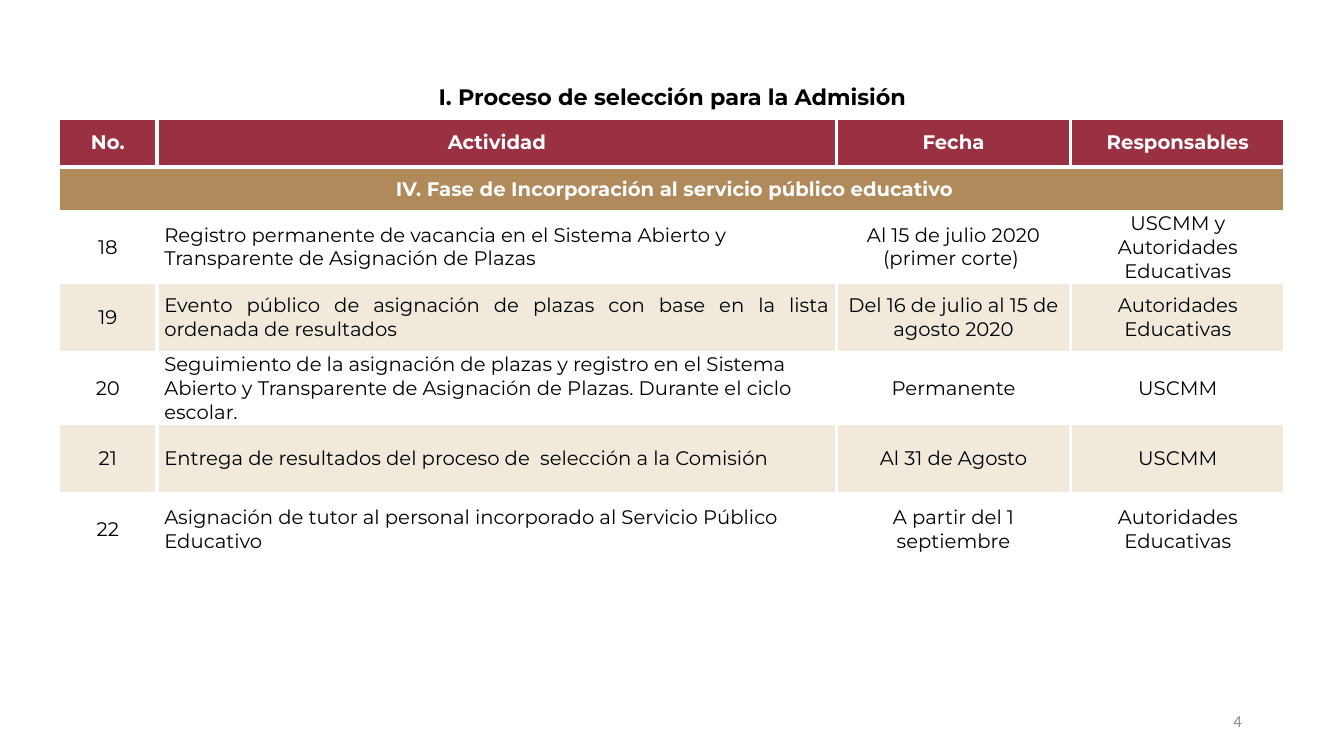
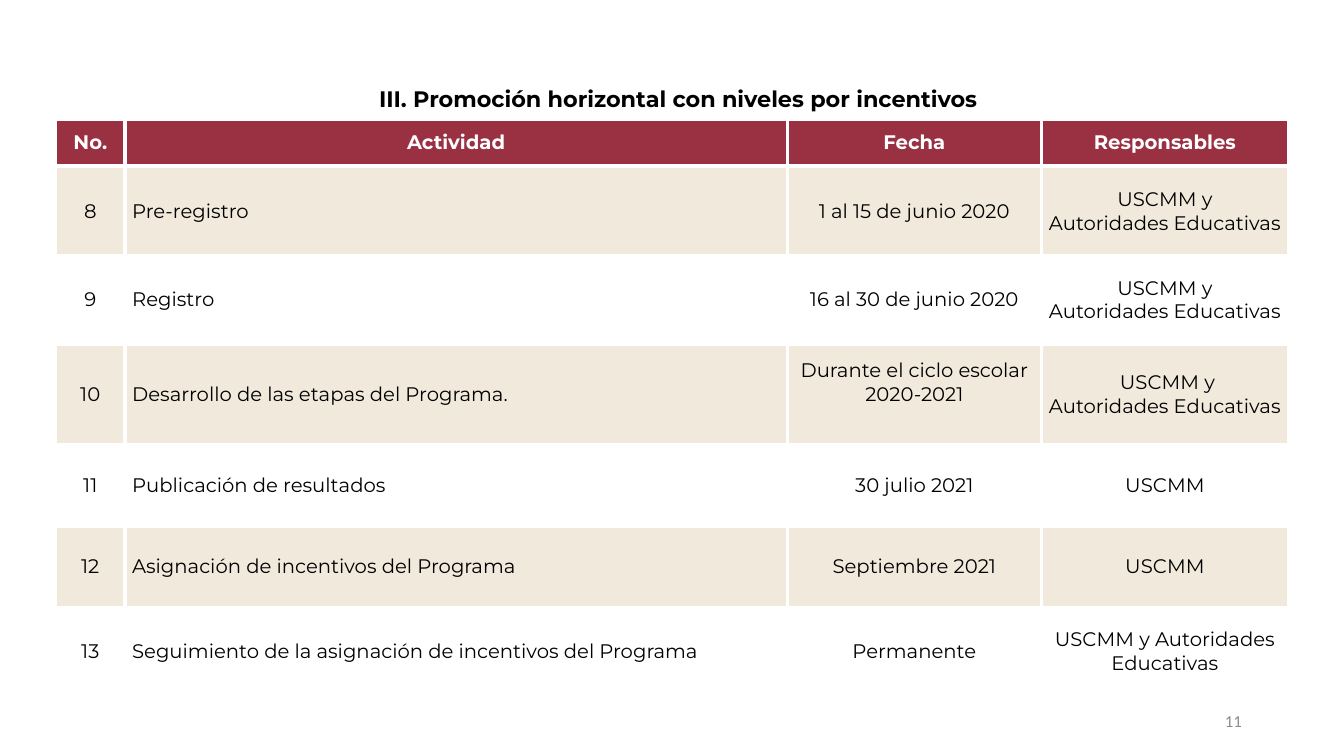
import dataclasses
import typing

import lxml.etree
import pptx
import pptx.dml.color
import pptx.enum.text
import pptx.oxml.ns
import pptx.slide
import pptx.table
import pptx.text.text
import pptx.util

RGBColor = pptx.dml.color.RGBColor
Align = pptx.enum.text.PP_ALIGN
Anchor = pptx.enum.text.MSO_ANCHOR

WINE = RGBColor(0x99, 0x31, 0x42)
GOLD = RGBColor(0xB0, 0x8A, 0x5A)
CREAM = RGBColor(0xF0, 0xE9, 0xDC)
WHITE = RGBColor(0xFF, 0xFF, 0xFF)
BLACK = RGBColor(0x00, 0x00, 0x00)
GREY = RGBColor(0x8C, 0x8C, 0x8C)

TABLE_FONT = "Montserrat"
NUMBER_FONT = "Calibri"
SLIDE_WIDTH = pptx.util.Inches(13.33)
SLIDE_HEIGHT = pptx.util.Inches(7.5)
CELL_MARGIN = pptx.util.Inches(0.07)
BORDER_WIDTH = pptx.util.Pt(3)
TITLE_ONLY = 5
HEADINGS = ("No.", "Actividad", "Fecha", "Responsables")

AUTHORITIES = "Autoridades Educativas"
UNIT = "USCMM"
BOTH = f"{UNIT} y {AUTHORITIES}"
BOTH_SPLIT = f"{UNIT} y\n{AUTHORITIES}"


@dataclasses.dataclass(frozen=True)
class Box:
    """A place on the slide, in percent of its width and height."""

    left: float
    top: float
    width: float
    height: float


@dataclasses.dataclass(frozen=True)
class Activity:
    """One row of a schedule; height and lift are percent of the slide's height."""

    number: int
    name: str
    date: str
    responsible: str
    height: float
    justified: bool = False
    date_lift: float = 0


@dataclasses.dataclass(frozen=True)
class Schedule:
    """One slide: its title, table and page number, in percent of the slide."""

    title: str
    title_box: Box
    page: int
    left: float
    top: float
    columns: tuple[float, ...]
    heading_height: float
    activities: tuple[Activity, ...]
    bands: tuple[RGBColor, RGBColor]
    phase: str = ""
    phase_height: float = 0


PAGE_BOX = Box(70.65, 92.67, 22.5, 5.33)

SCHEDULES = (
    Schedule(
        title="I. Proceso de selección para la Admisión",
        title_box=Box(31.88, 10.27, 36.9, 4.93),
        page=4,
        left=4.35,
        top=15.6,
        columns=(7.35, 50.55, 17.4, 15.98),
        heading_height=6.53,
        phase="\u00a0IV. Fase de Incorporación al servicio público educativo",
        phase_height=5.87,
        bands=(WHITE, CREAM),
        activities=(
            Activity(18, "Registro permanente de vacancia en el Sistema Abierto y "
                     "Transparente de Asignación de Plazas",
                     "Al 15 de julio 2020\n(primer corte) ", BOTH, 9.33),
            Activity(19, "Evento público de asignación de plazas con base en la "
                     "lista ordenada de resultados",
                     "Del 16 de julio al 15 de agosto 2020", AUTHORITIES, 9.33,
                     justified=True),
            Activity(20, "Seguimiento de la asignación de plazas y registro en el "
                     "Sistema Abierto y Transparente de Asignación de Plazas. "
                     "Durante el ciclo escolar.", "Permanente", UNIT, 9.33),
            Activity(21, "Entrega de resultados del proceso de  selección a la "
                     "Comisión", "Al 31 de Agosto", UNIT, 9.33),
            Activity(22, "Asignación de tutor al personal incorporado al Servicio "
                     "Público Educativo", "A partir del 1 septiembre",
                     AUTHORITIES, 9.33),
        ),
    ),
    Schedule(
        title="III. Promoción horizontal con niveles por incentivos",
        title_box=Box(27.45, 10.53, 46.73, 4.93),
        page=11,
        left=4.13,
        top=15.73,
        columns=(5.18, 49.28, 18.9, 18.38),
        heading_height=6.27,
        bands=(CREAM, WHITE),
        activities=(
            Activity(8, "Pre-registro", "1 al 15 de junio 2020", BOTH_SPLIT, 11.87,
                     justified=True),
            Activity(9, "Registro", "16 al 30 de junio 2020", BOTH_SPLIT, 11.6,
                     justified=True),
            Activity(10, "Desarrollo de las etapas del Programa.",
                     "Durante el ciclo escolar 2020-2021", f"\u00a0{BOTH_SPLIT}",
                     13.33, justified=True, date_lift=3.15),
            Activity(11, "Publicación de resultados", "30 julio 2021", UNIT, 10.8),
            Activity(12, "Asignación de incentivos del Programa",
                     "Septiembre 2021", UNIT, 10.8),
            Activity(13, "Seguimiento de la asignación de incentivos del Programa",
                     "Permanente", BOTH, 11.6),
        ),
    ),
)


def across(percent: float) -> int:
    """Turn a percent of the slide's width into a length."""
    return round(SLIDE_WIDTH * percent / 100)


def down(percent: float) -> int:
    """Turn a percent of the slide's height into a length."""
    return round(SLIDE_HEIGHT * percent / 100)


def place(box: Box) -> tuple[int, int, int, int]:
    """Give left, top, width and height of a box as lengths."""
    return across(box.left), down(box.top), across(box.width), down(box.height)


def write_text(frame: pptx.text.text.TextFrame, text: str, size: int,
               color: RGBColor, bold: bool = False, align: Align = Align.CENTER,
               font_name: str = TABLE_FONT) -> None:
    """Fill a text frame and format all its runs alike."""
    frame.text = text
    for paragraph in frame.paragraphs:
        paragraph.alignment = align
        for run in paragraph.runs:
            run.font.name = font_name
            run.font.size = pptx.util.Pt(size)
            run.font.bold = bold
            run.font.color.rgb = color


def add_borders(cell: pptx.table._Cell) -> None:
    """Draw a white line on each side of a cell."""
    properties = cell._tc.get_or_add_tcPr()
    for position, side in enumerate(("lnL", "lnR", "lnT", "lnB")):
        line = lxml.etree.Element(pptx.oxml.ns.qn(f"a:{side}"),
                                  w=str(int(BORDER_WIDTH)))
        fill = lxml.etree.SubElement(line, pptx.oxml.ns.qn("a:solidFill"))
        lxml.etree.SubElement(fill, pptx.oxml.ns.qn("a:srgbClr"), val=str(WHITE))
        properties.insert(position, line)


def fill_row(table: pptx.table.Table, index: int, height: float,
             texts: typing.Sequence[str], fill: RGBColor, heading: bool = False,
             name_align: Align = Align.CENTER) -> None:
    """Set height, fill, borders and wording of one table row."""
    table.rows[index].height = down(height)
    for column, text in enumerate(texts):
        cell = table.cell(index, column)
        cell.fill.solid()
        cell.fill.fore_color.rgb = fill
        cell.vertical_anchor = Anchor.MIDDLE
        cell.margin_left = cell.margin_right = CELL_MARGIN
        cell.margin_top = cell.margin_bottom = 0
        write_text(cell.text_frame, text, 14, WHITE if heading else BLACK, heading,
                   name_align if column == 1 else Align.CENTER)
        add_borders(cell)


def add_schedule_table(slide: pptx.slide.Slide, schedule: Schedule) -> None:
    """Draw the table of activities with its heading and phase rows."""
    first = 2 if schedule.phase else 1
    height = (schedule.heading_height + schedule.phase_height
              + sum(activity.height for activity in schedule.activities))
    box = Box(schedule.left, schedule.top, sum(schedule.columns), height)
    table = slide.shapes.add_table(first + len(schedule.activities),
                                   len(HEADINGS), *place(box)).table
    table.first_row = table.horz_banding = False
    for column, width in zip(table.columns, schedule.columns):
        column.width = across(width)

    fill_row(table, 0, schedule.heading_height, HEADINGS, WINE, heading=True)
    if schedule.phase:
        fill_row(table, 1, schedule.phase_height, (schedule.phase, "", "", ""),
                 GOLD, heading=True)
        table.cell(1, 0).merge(table.cell(1, len(HEADINGS) - 1))
    for order, activity in enumerate(schedule.activities):
        texts = (str(activity.number), activity.name, activity.date,
                 activity.responsible)
        fill_row(table, first + order, activity.height, texts,
                 schedule.bands[order % 2],
                 name_align=Align.JUSTIFY if activity.justified else Align.LEFT)
        table.cell(first + order, 2).margin_bottom = down(activity.date_lift)


def add_title(slide: pptx.slide.Slide, text: str, box: Box) -> None:
    """Move the title placeholder above the table and write it."""
    title = slide.shapes.title
    title.left, title.top, title.width, title.height = place(box)
    frame = title.text_frame
    frame.auto_size = pptx.enum.text.MSO_AUTO_SIZE.NONE
    frame.vertical_anchor = Anchor.TOP
    write_text(frame, text, 16, BLACK, bold=True, align=Align.LEFT)


def add_page_number(slide: pptx.slide.Slide, page: int) -> None:
    """Write the page number at the bottom right."""
    frame = slide.shapes.add_textbox(*place(PAGE_BOX)).text_frame
    frame.word_wrap = True
    frame.vertical_anchor = Anchor.MIDDLE
    write_text(frame, str(page), 12, GREY, align=Align.RIGHT,
               font_name=NUMBER_FONT)


def build() -> None:
    """Build and save the presentation."""
    presentation = pptx.Presentation()
    presentation.slide_width = SLIDE_WIDTH
    presentation.slide_height = SLIDE_HEIGHT
    for schedule in SCHEDULES:
        slide = presentation.slides.add_slide(presentation.slide_layouts[TITLE_ONLY])
        add_page_number(slide, schedule.page)
        add_schedule_table(slide, schedule)
        add_title(slide, schedule.title, schedule.title_box)
    presentation.save("out.pptx")


build()
